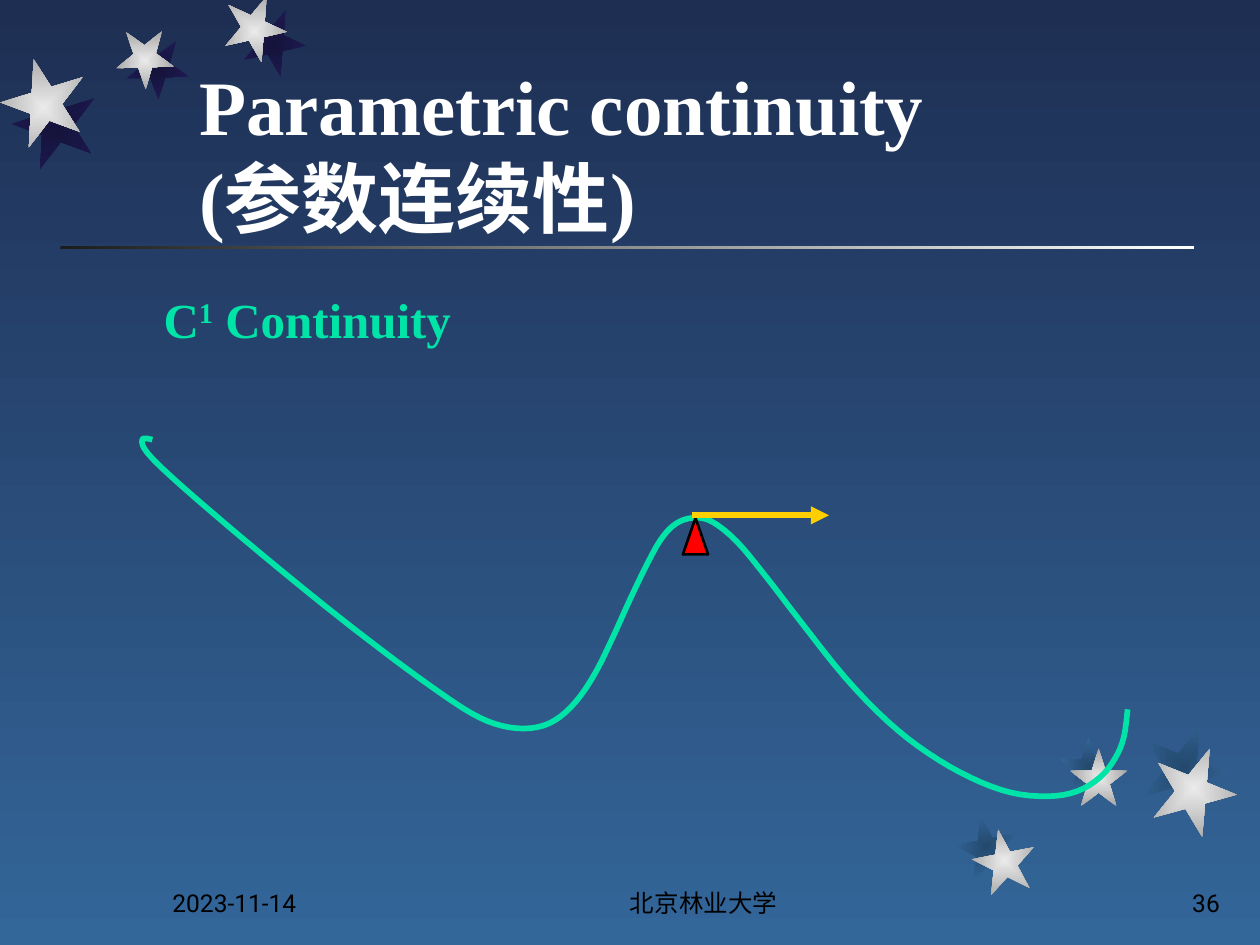
from lxml import etree
from pptx import Presentation
from pptx.dml.color import RGBColor
from pptx.enum.shapes import MSO_CONNECTOR, MSO_SHAPE
from pptx.enum.text import MSO_ANCHOR, MSO_AUTO_SIZE, PP_ALIGN
from pptx.oxml.ns import qn
from pptx.util import Inches, Pt

STAR, TRIANGLE, RECTANGLE = MSO_SHAPE.STAR_5_POINT, MSO_SHAPE.ISOSCELES_TRIANGLE, MSO_SHAPE.RECTANGLE
STRAIGHT = MSO_CONNECTOR.STRAIGHT
LEFT, CENTER, RIGHT = PP_ALIGN.LEFT, PP_ALIGN.CENTER, PP_ALIGN.RIGHT
TOP, BOTTOM = MSO_ANCHOR.TOP, MSO_ANCHOR.BOTTOM
NO_AUTOFIT = MSO_AUTO_SIZE.NONE

SERIF, SANS = "Times New Roman", "Roboto"
COLORS = {
    "sky_top": "1E2E53", "sky_bottom": "336699",
    "night": "15133B", "night_edge": "1E1A53",
    "dusk": "24496D", "silver": "EAEAEA", "silver_edge": "A7A7A7",
    "charcoal": "1C1C1C", "white": "FFFFFF", "black": "000000",
    "mint": "00E4A8", "red": "FF0000", "gold": "FFCF01",
}

STAR_GROUPS = [
    ("night", "night_edge", [(1.92, 0.11, 0.5, 0.5, 167.3), (1, 0.33, 0.5, 0.46, 178.3),
                             (0.1, 0.69, 0.67, 0.67, 200.3)]),
    ("silver", "silver_edge", [(1.77, 0, 0.5, 0.5, 167.3), (0.92, 0.25, 0.46, 0.46, 178.3),
                               (0.01, 0.52, 0.67, 0.67, 200.3)]),
    ("dusk", "sky_bottom", [(7.58, 6.47, 0.5, 0.5, 349), (8.41, 5.85, 0.46, 0.46, 0),
                            (9.06, 5.75, 0.67, 0.67, 22)]),
    ("silver", "silver_edge", [(7.72, 6.58, 0.5, 0.5, 349), (8.49, 5.94, 0.46, 0.46, 0),
                               (9.14, 5.92, 0.67, 0.67, 22)]),
]
CURVE_KNOTS = [
    (1.21, 3.49), (1.16, 3.48), (1.13, 3.49), (1.14, 3.55), (1.22, 3.65), (1.4, 3.82),
    (1.71, 4.09), (2.09, 4.41), (2.58, 4.81), (3.03, 5.16), (3.41, 5.44), (3.74, 5.66),
    (3.98, 5.76), (4.21, 5.78), (4.4, 5.72), (4.57, 5.57), (4.72, 5.35), (4.85, 5.09),
    (5, 4.76), (5.12, 4.51), (5.24, 4.29), (5.36, 4.16), (5.5, 4.11), (5.65, 4.14),
    (5.85, 4.3), (6.09, 4.59), (6.36, 4.94), (6.71, 5.38), (7.05, 5.73), (7.37, 5.98),
    (7.7, 6.17), (8.02, 6.29), (8.32, 6.32), (8.55, 6.28), (8.73, 6.17), (8.85, 6.02),
    (8.92, 5.85), (8.95, 5.63),
]


def color(name):
    return RGBColor.from_string(COLORS[name])


def spline(knots, steps=4):
    padded = [knots[0], *knots, knots[-1]]
    points = [knots[0]]
    for segment in zip(padded, padded[1:], padded[2:], padded[3:]):
        for step in range(1, steps + 1):
            t = step / steps
            points.append(tuple(
                0.5 * (2 * b + (c - a) * t + (2 * a - 5 * b + 4 * c - d) * t ** 2
                       + (3 * b - a - 3 * c + d) * t ** 3)
                for a, b, c, d in zip(*segment)))
    return points


class SlideBuilder:
    def __init__(self, slide):
        self.slide = slide
        self.shapes = slide.shapes

    def gradient(self, fill, start, end, angle=0):
        fill.gradient()
        fill.gradient_angle = angle
        for stop, name, position in zip(fill.gradient_stops, (start, end), (0, 1)):
            stop.color.rgb = color(name)
            stop.position = position

    def background(self, start, end):
        self.gradient(self.slide.background.fill, start, end, 270)

    def preset(self, kind, left, top, width, height):
        shape = self.shapes.add_shape(kind, Inches(left), Inches(top), Inches(width), Inches(height))
        shape.shadow.inherit = False
        shape.line.fill.background()
        return shape

    def rule(self, left, top, width, height, start, end):
        self.gradient(self.preset(RECTANGLE, left, top, width, height).fill, start, end)

    def star(self, left, top, width, height, rotation, center, edge):
        star = self.preset(STAR, left, top, width, height)
        star.rotation = rotation
        self.gradient(star.fill, center, edge)
        grad = star._element.spPr.find(qn("a:gradFill"))
        grad.remove(grad.find(qn("a:lin")))
        focus = etree.SubElement(grad, qn("a:path"), path="shape")
        etree.SubElement(focus, qn("a:fillToRect"), l="50000", t="50000", r="50000", b="50000")

    def marker(self, left, top, width, height, fill, outline, weight):
        marker = self.preset(TRIANGLE, left, top, width, height)
        marker.fill.solid()
        marker.fill.fore_color.rgb = color(fill)
        marker.line.color.rgb = color(outline)
        marker.line.width = Pt(weight)

    def curve(self, knots, stroke, weight):
        points = [(Inches(x), Inches(y)) for x, y in spline(knots)]
        builder = self.shapes.build_freeform(*points[0])
        builder.add_line_segments(points[1:], close=False)
        curve = builder.convert_to_shape()
        curve.shadow.inherit = False
        curve.fill.background()
        curve.line.color.rgb = color(stroke)
        curve.line.width = Pt(weight)

    def arrow(self, x1, y1, x2, y2, stroke, weight):
        arrow = self.shapes.add_connector(STRAIGHT, Inches(x1), Inches(y1), Inches(x2), Inches(y2))
        arrow.line.color.rgb = color(stroke)
        arrow.line.width = Pt(weight)
        etree.SubElement(arrow.line._get_or_add_ln(), qn("a:tailEnd"), type="triangle")
        etree.SubElement(arrow._element.spPr, qn("a:effectLst"))

    def format_text(self, frame, size, font, ink, bold=False, align=LEFT, anchor=TOP):
        frame.word_wrap = True
        frame.auto_size = NO_AUTOFIT
        frame.vertical_anchor = anchor
        for paragraph in frame.paragraphs:
            paragraph.alignment = align
            paragraph.font.size = Pt(size)
            paragraph.font.name = font
            paragraph.font.bold = bold
            paragraph.font.color.rgb = color(ink)

    def title(self, text, left, top, width, height):
        title = self.shapes.title
        title.left, title.top = Inches(left), Inches(top)
        title.width, title.height = Inches(width), Inches(height)
        title.text_frame.text = text
        self.format_text(title.text_frame, 44, SERIF, "white", bold=True, anchor=BOTTOM)

    def text(self, parts, left, top, width, height, size, font, ink, **style):
        box = self.shapes.add_textbox(Inches(left), Inches(top), Inches(width), Inches(height))
        paragraph = box.text_frame.paragraphs[0]
        for content, baseline in parts:
            run = paragraph.add_run()
            run.text = content
            if baseline:
                run.font._element.set("baseline", str(baseline * 1000))
        self.format_text(box.text_frame, size, font, ink, **style)
        return paragraph


def main():
    deck = Presentation()
    deck.slide_width, deck.slide_height = Inches(10), Inches(7.5)
    page = SlideBuilder(deck.slides.add_slide(deck.slide_layouts[5]))

    page.background("sky_top", "sky_bottom")
    page.rule(0.48, 1.95, 9, 0.03, "charcoal", "white")
    for center, edge, stars in STAR_GROUPS:
        for star in stars:
            page.star(*star, center, edge)

    for content, left, width, align in [
        ("2023-11-14", 1.27, 2.08, LEFT),
        ("北京林业大学", 4, 3.17, CENTER),
        ("36", 7.7, 2.08, RIGHT),
    ]:
        page.text([(content, 0)], left, 6.83, width, 0.5, 14, SANS, "black", align=align, anchor=BOTTOM)

    page.title("Parametric continuity\v(参数连续性)", 1.48, 0.38, 7.5, 1.6)
    subtitle = page.text([("C", 0), ("1", 30), (" Continuity", 0)],
                         1.2, 2.3, 4.26, 0.73, 28, SERIF, "mint", bold=True)
    subtitle.line_spacing = 0.9

    page.curve(CURVE_KNOTS, "mint", 3.25)
    page.marker(5.42, 4.11, 0.2, 0.29, "red", "black", 1.5)
    page.arrow(5.49, 4.09, 6.58, 4.09, "gold", 3.5)
    deck.save("out.pptx")


if __name__ == "__main__":
    main()
